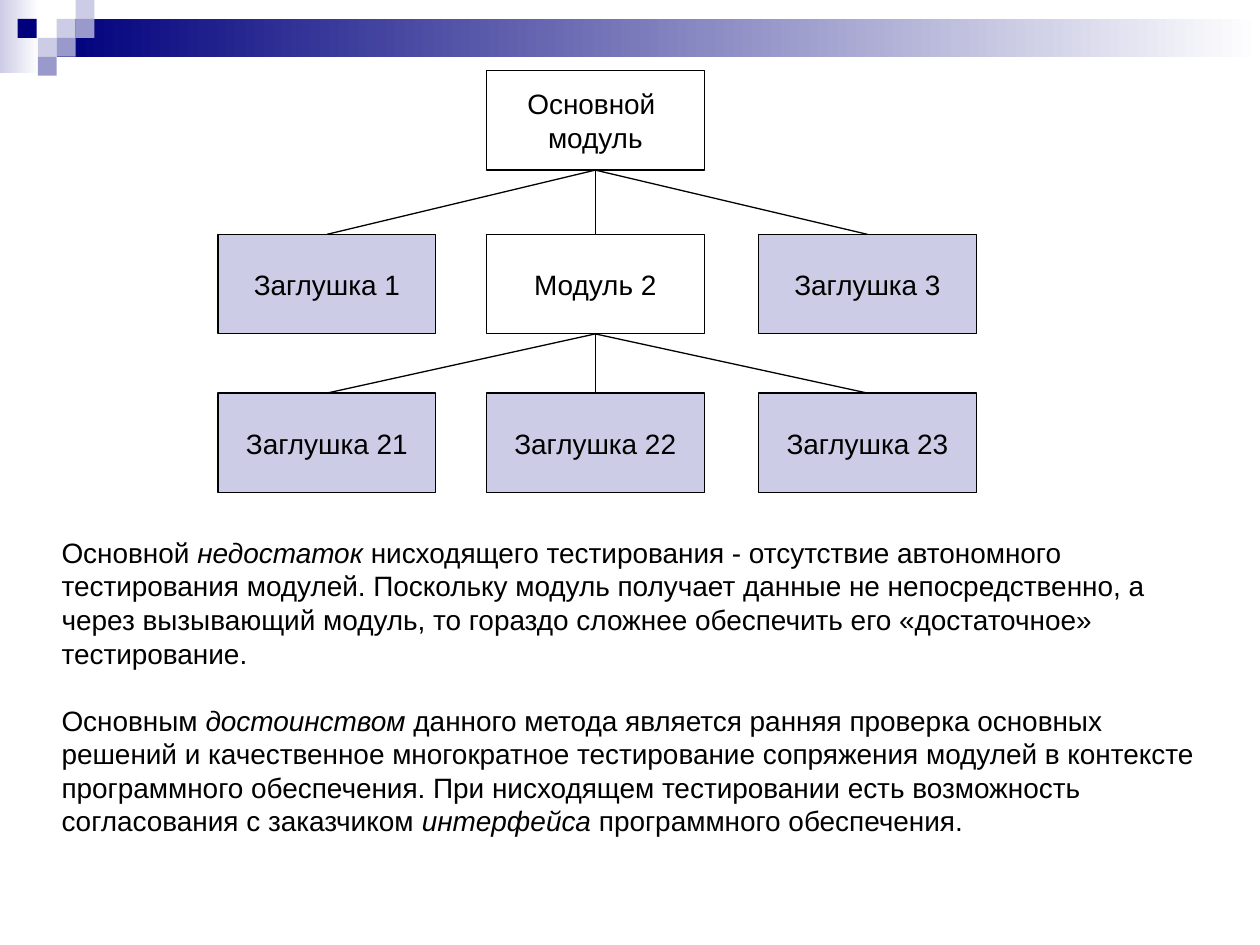
from lxml import etree
from pptx import Presentation
from pptx.dml.color import RGBColor
from pptx.enum.shapes import MSO_CONNECTOR, MSO_SHAPE
from pptx.enum.text import MSO_ANCHOR, PP_ALIGN
from pptx.oxml.ns import qn
from pptx.util import Inches, Pt

RECTANGLE = MSO_SHAPE.RECTANGLE
STRAIGHT = MSO_CONNECTOR.STRAIGHT
MIDDLE, TOP = MSO_ANCHOR.MIDDLE, MSO_ANCHOR.TOP
CENTER, LEFT = PP_ALIGN.CENTER, PP_ALIGN.LEFT

BLACK = RGBColor(0x00, 0x00, 0x00)
WHITE = RGBColor(0xFF, 0xFF, 0xFF)
NAVY = RGBColor(0x00, 0x00, 0x7D)
LAVENDER = RGBColor(0xCC, 0xCC, 0xE6)
PERIWINKLE = RGBColor(0x99, 0x99, 0xCC)

FONT = "Arial"
FONT_SIZE = Pt(16)
LINE_HEIGHT = Pt(19.2)
LINE_WIDTH = Pt(0.75)

SQUARE = 0.15
SQUARES = [  # left, row, colour
    (0.45, 1, LAVENDER),
    (0.6, 0, LAVENDER),
    (0.6, 1, PERIWINKLE),
    (0.3, 2, LAVENDER),
    (0.14, 1, NAVY),
    (0.45, 2, PERIWINKLE),
    (0.3, 3, PERIWINKLE),
]

BOX_WIDTH, BOX_HEIGHT = 1.73, 0.79
COLUMN_LEFTS = [1.73, 3.86, 6.02]
ROOT_TOP = 0.56
ROOT_LINES = ["Основной ", "модуль"]
LEVELS = [  # top, (label, fill) of each box
    (1.86, [("Заглушка 1", LAVENDER), ("Модуль 2", None), ("Заглушка 3", LAVENDER)]),
    (3.12, [("Заглушка 21", LAVENDER), ("Заглушка 22", LAVENDER), ("Заглушка 23", LAVENDER)]),
]

CONCLUSIONS = [  # runs of (text, italic)
    [
        ("Основной ", False),
        ("недостаток ", True),
        ("нисходящего тестирования - отсутствие автономного тестирования модулей. "
         "Поскольку модуль получает данные не непосредственно, а через вызывающий модуль, "
         "то гораздо сложнее обеспечить его «достаточное» тестирование.", False),
    ],
    [
        ("Основным ", False),
        ("достоинством ", True),
        ("данного метода является ранняя проверка основных решений и качественное "
         "многократное тестирование сопряжения модулей в контексте программного обеспечения. "
         "При нисходящем тестировании есть возможность согласования с заказчиком ", False),
        ("интерфейса", True),
        (" программного обеспечения.", False),
    ],
]


def add_rectangle(slide, left, top, width, height):
    shape = slide.shapes.add_shape(
        RECTANGLE, Inches(left), Inches(top), Inches(width), Inches(height))
    shape.shadow.inherit = False
    shape.line.fill.background()
    return shape


def add_gradient_bar(slide, left, top, width, height, start_color):
    """Add a bar that fades from start_color to white, left to right."""
    fill = add_rectangle(slide, left, top, width, height).fill
    fill.gradient()
    fill.gradient_angle = 0
    for stop, color in zip(fill.gradient_stops, (start_color, WHITE)):
        stop.color.rgb = color


def add_square(slide, left, row, color):
    square = add_rectangle(slide, left, row * SQUARE, SQUARE, SQUARE)
    square.fill.solid()
    square.fill.fore_color.rgb = color


def write_paragraphs(text_frame, paragraphs, alignment, gap=0):
    """Write paragraphs given as lists of (text, italic) runs."""
    for index, runs in enumerate(paragraphs):
        paragraph = text_frame.add_paragraph() if index else text_frame.paragraphs[0]
        paragraph.alignment = alignment
        paragraph.line_spacing = LINE_HEIGHT
        paragraph.space_before = gap if index else 0
        for text, italic in runs:
            run = paragraph.add_run()
            run.text = text
            run.font.name = FONT
            run.font.size = FONT_SIZE
            run.font.italic = italic
            run.font.color.rgb = BLACK


def add_module_box(slide, left, top, lines, color):
    box = add_rectangle(slide, left, top, BOX_WIDTH, BOX_HEIGHT)
    if color is None:
        box.fill.background()
    else:
        box.fill.solid()
        box.fill.fore_color.rgb = color
    box.line.color.rgb = BLACK
    box.line.width = LINE_WIDTH
    box.text_frame.word_wrap = False
    box.text_frame.vertical_anchor = MIDDLE
    write_paragraphs(box.text_frame, [[(line, False)] for line in lines], CENTER)


def add_branch(slide, parent_left, parent_top, child_left, child_top):
    """Join the bottom centre of a parent box to the top centre of a child."""
    half = BOX_WIDTH / 2
    branch = slide.shapes.add_connector(
        STRAIGHT,
        Inches(parent_left + half), Inches(parent_top + BOX_HEIGHT),
        Inches(child_left + half), Inches(child_top))
    branch.line.color.rgb = BLACK
    branch.line.width = LINE_WIDTH
    etree.SubElement(branch._element.spPr, qn("a:effectLst"))


def add_module_tree(slide):
    middle_left = COLUMN_LEFTS[1]
    add_module_box(slide, middle_left, ROOT_TOP, ROOT_LINES, None)
    parent_top = ROOT_TOP
    for top, boxes in LEVELS:
        for left, (label, color) in zip(COLUMN_LEFTS, boxes):
            add_module_box(slide, left, top, [label], color)
            add_branch(slide, middle_left, parent_top, left, top)
        parent_top = top


def add_conclusions(slide):
    text_box = slide.shapes.add_textbox(
        Inches(0.39), Inches(4.2), Inches(9.29), Inches(2.5))
    text_box.text_frame.word_wrap = True
    text_box.text_frame.vertical_anchor = TOP
    write_paragraphs(text_box.text_frame, CONCLUSIONS, LEFT, gap=LINE_HEIGHT)


def main():
    presentation = Presentation()
    presentation.slide_width = Inches(10)
    presentation.slide_height = Inches(7.5)
    slide = presentation.slides.add_slide(presentation.slide_layouts[6])
    add_gradient_bar(slide, 0, 0, 0.31, 0.58, LAVENDER)
    add_gradient_bar(slide, 0.45, 0.15, 9.55, 0.3, NAVY)
    for left, row, color in SQUARES:
        add_square(slide, left, row, color)
    add_module_tree(slide)
    add_conclusions(slide)
    presentation.save("out.pptx")


if __name__ == "__main__":
    main()
